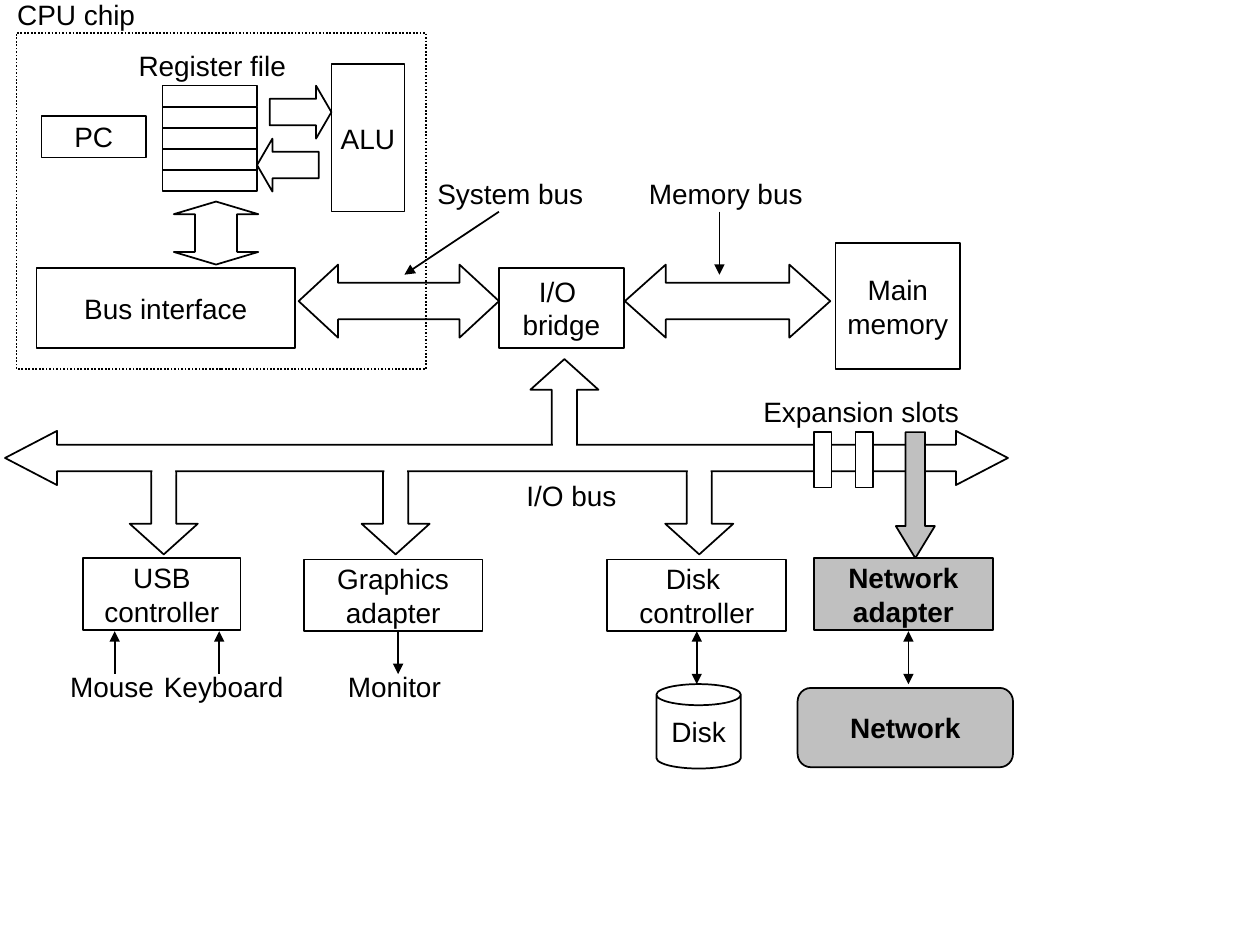
"""Draws the hardware layout of a typical computer system."""
import dataclasses

import lxml.etree
import pptx
import pptx.dml.color
import pptx.enum.dml
import pptx.enum.shapes
import pptx.enum.text
import pptx.oxml.ns
import pptx.util

Form = pptx.enum.shapes.MSO_SHAPE


@dataclasses.dataclass(frozen=True)
class Theme:
    """Holds the colours, type and grid of the slide."""
    ink: str = "000000"
    paper: str = "FFFFFF"
    shade: str = "C0C0C0"
    font: str = "Arial"
    size: int = 16
    rule: int = 1
    cols: int = 100
    rows: int = 75


def tint(code):
    """Turns a hex code into a colour."""
    return pptx.dml.color.RGBColor.from_string(code)


def write(shape, text, *, font, size, color, bold=False):
    """Puts centred lines of text into a shape."""
    frame = shape.text_frame
    frame.word_wrap = False
    frame.margin_left = frame.margin_right = 0
    frame.vertical_anchor = pptx.enum.text.MSO_ANCHOR.MIDDLE
    frame.text = text
    for para in frame.paragraphs:
        para.alignment = pptx.enum.text.PP_ALIGN.CENTER
        para.font.name = font
        para.font.size = pptx.util.Pt(size)
        para.font.bold = bold
        para.font.color.rgb = tint(color)


class Board:
    """Draws styled parts on one slide, placed by column and row."""

    def __init__(self, deck, theme):
        self.theme = theme
        self.slide = deck.slides.add_slide(deck.slide_layouts[6])
        self.col = deck.slide_width / theme.cols
        self.row = deck.slide_height / theme.rows

    def place(self, *spots):
        """Turns columns and rows, in turn, into lengths."""
        return [round(n * (self.row if i % 2 else self.col)) for i, n in enumerate(spots)]

    def words(self, shape, text, bold=False):
        """Writes text in the style of the theme."""
        theme = self.theme
        write(shape, text, font=theme.font, size=theme.size, color=theme.ink, bold=bold)

    def form(self, spot, kind=Form.RECTANGLE, text="", *, adj=(), fill=None,
             edge=True, dots=False, bold=False):
        """Adds a preset shape."""
        shape = self.slide.shapes.add_shape(kind, *self.place(*spot))
        shape.shadow.inherit = False
        for i, share in enumerate(adj):
            shape.adjustments[i] = share
        if len(adj) > 1:
            guides = shape._element.spPr.iter(pptx.oxml.ns.qn("a:gd"))
            for i, guide in enumerate(guides, 1):
                guide.set("name", f"adj{i}")
        if fill:
            shape.fill.solid()
            shape.fill.fore_color.rgb = tint(fill)
        else:
            shape.fill.background()
        if edge:
            shape.line.color.rgb = tint(self.theme.ink)
            shape.line.width = pptx.util.Pt(self.theme.rule)
        else:
            shape.line.fill.background()
        if dots:
            shape.line.dash_style = pptx.enum.dml.MSO_LINE.ROUND_DOT
        if text:
            self.words(shape, text, bold)
        return shape

    def label(self, spot, text):
        """Adds a free label."""
        box = self.slide.shapes.add_textbox(*self.place(*spot))
        self.words(box, text)

    def line(self, ends, *, head=False, tail=False, start=None):
        """Adds a straight line with arrowheads, joined below a box if one is given."""
        straight = pptx.enum.shapes.MSO_CONNECTOR.STRAIGHT
        line = self.slide.shapes.add_connector(straight, *self.place(*ends))
        if start is not None:
            line.begin_connect(start, 2)
        line.line.color.rgb = tint(self.theme.ink)
        line.line.width = pptx.util.Pt(self.theme.rule)
        qn = pptx.oxml.ns.qn
        props = line._element.spPr
        for tag, wanted in (("a:headEnd", head), ("a:tailEnd", tail)):
            if wanted:
                lxml.etree.SubElement(props.find(qn("a:ln")), qn(tag), type="triangle")
        lxml.etree.SubElement(props, qn("a:effectLst"))


def chip(board):
    """Draws the processor, its buses and the memory."""
    board.form((66.3, 19.3, 9.9, 10), text="Main\nmemory")
    board.form((49.6, 21, 16.3, 5.8), Form.LEFT_RIGHT_ARROW, adj=(0.5, 0.56))
    board.form((39.6, 21.3, 9.9, 6.3), text="I/O \nbridge")
    board.form((23.7, 21, 15.9, 5.8), Form.LEFT_RIGHT_ARROW, adj=(0.5, 0.54))
    board.form((2.9, 21.3, 20.5, 6.3), text="Bus interface")
    for i in range(5):
        board.form((12.9, 6.8 + i * 1.67, 7.5, 1.67))
    board.form((21.4, 6.8, 4.9, 4.2), Form.RIGHT_ARROW, adj=(0.5, 0.29))
    board.form((20.4, 11, 4.9, 4.2), Form.LEFT_ARROW, adj=(0.5, 0.29))
    board.form((26.3, 5.1, 5.8, 11.7), text="ALU")
    board.form((3.3, 9.2, 8.3, 3.3), text="PC")
    board.label((10, 3.3, 13.7, 3.7), "Register file")
    board.form((13.8, 16, 6.7, 5), Form.UP_DOWN_ARROW, adj=(0.5, 0.2))
    board.form((1.3, 2.6, 32.5, 26.7), dots=True)
    board.label((0.4, -0.7, 11.3, 3.7), "CPU chip")
    board.label((33.7, 13.5, 13.6, 3.7), "System bus")
    board.line((39.6, 16.8, 32.1, 21.8), tail=True)
    board.label((50.5, 13.5, 14.2, 3.7), "Memory bus")
    board.line((57.1, 16.8, 57.1, 21.8), tail=True)


def bus(board):
    """Draws the I/O bus with its branches and slots."""
    paper, shade = board.theme.paper, board.theme.shade
    taps = [(x, 36.5, Form.DOWN_ARROW, 36) for x in (10.3, 28.7, 52.8)]
    taps.append((42.1, 28.5, Form.UP_ARROW, 35.1))
    for x, y, kind, _ in taps:
        board.form((x, y, 5.4, 7.5), kind, adj=(0.37, 0.45))
    board.form((0.4, 34.2, 79.6, 4.3), Form.LEFT_RIGHT_ARROW, adj=(0.49, 0.96), fill=paper)
    for x, _, _, y in taps:
        board.form((x + 1.8, y, 1.8, 1.7), fill=paper, edge=False)
    board.label((40.8, 37.5, 9.1, 3.7), "I/O bus")
    for x in (64.6, 67.9):
        board.form((x, 34.3, 1.4, 4.4), fill=paper)
    board.form((71.1, 34.3, 3.1, 10), Form.DOWN_ARROW, adj=(0.5, 0.82), fill=shade)
    board.label((59.6, 30.8, 17.5, 3.7), "Expansion slots")


def gear(board):
    """Draws the controllers and the devices they serve."""
    shade = board.theme.shade
    board.form((6.6, 44.3, 12.5, 5.7), text="USB\ncontroller")
    board.form((24.1, 44.4, 14.2, 5.7), text="Graphics\nadapter")
    drive = board.form((48.2, 44.4, 14.2, 5.7), text="Disk \ncontroller")
    board.form((64.6, 44.3, 14.2, 5.7), text="Network\nadapter", fill=shade, bold=True)
    for x in (9.1, 17.4):
        board.line((x, 50.1, x, 53.5), head=True)
    board.line((31.6, 50.1, 31.6, 53.5), tail=True)
    board.line((55.3, 50.1, 55.3, 54.3), head=True, tail=True, start=drive)
    board.line((72.1, 50.1, 72.1, 54.3), head=True, tail=True)
    for x, wide, text in ((4.6, 8.6, "Mouse"), (12, 11.5, "Keyboard"), (26.6, 9.4, "Monitor")):
        board.label((x, 52.6, wide, 3.7), text)
    board.form((52.1, 54.3, 6.7, 6.7), Form.CAN, "Disk", adj=(0.25,))
    board.form((63.3, 54.6, 17.1, 6.3), Form.ROUNDED_RECTANGLE, "Network",
               adj=(0.17,), fill=shade, bold=True)


def main():
    """Builds and saves the slide."""
    deck = pptx.Presentation()
    deck.slide_width = pptx.util.Inches(10)
    deck.slide_height = pptx.util.Inches(7.5)
    board = Board(deck, Theme())
    for draw in (chip, bus, gear):
        draw(board)
    deck.save("out.pptx")


if __name__ == "__main__":
    main()
